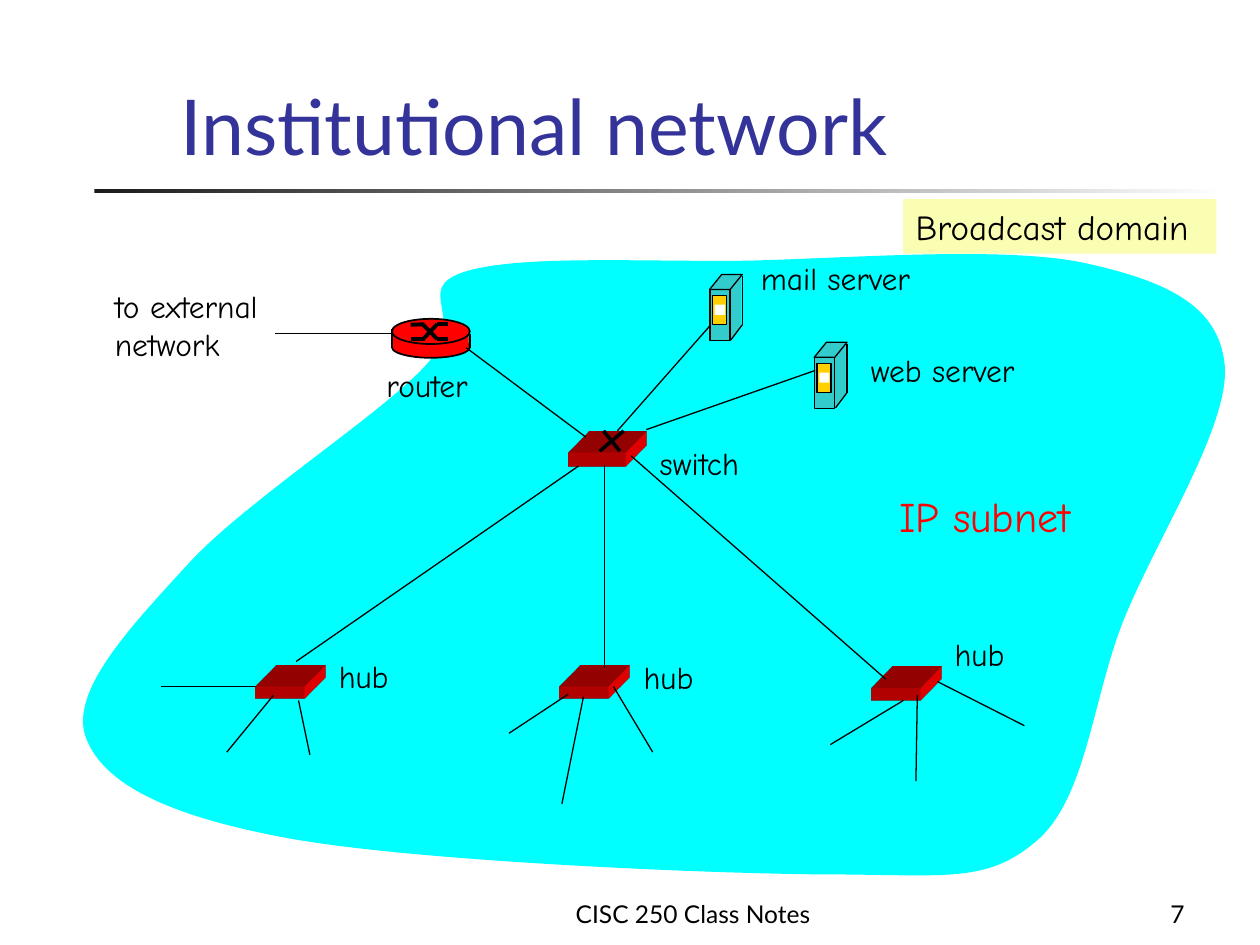
from lxml import etree
from pptx import Presentation
from pptx.dml.color import RGBColor
from pptx.enum.shapes import MSO_CONNECTOR as CONN, MSO_SHAPE as SHAPE
from pptx.enum.text import MSO_ANCHOR as ANCHOR, MSO_AUTO_SIZE as AUTO, PP_ALIGN as ALIGN
from pptx.oxml import parse_xml
from pptx.oxml.ns import nsdecls, qn
from pptx.util import Pt

COLORS = {
    "black": "000000", "white": "FFFFFF", "charcoal": "1C1C1C", "title": "333399",
    "cloud": "00FFFF", "red": "FF0000", "teal": "33CCCC", "gold": "FFCF01", "note": "FAFEB2",
}
HAND, SANS = "Comic Neue", "Lato"

CLOUD_START = (699.8, 208.1)
CLOUD_CURVES = [
    ((696.2, 174.2), (666, 160.6), (620.6, 150.5)),
    ((575.3, 140.4), (486, 147.6), (427, 149)),
    ((367.9, 149.8), (295.9, 145.4), (265, 155.5)),
    ((234.7, 165.6), (269.3, 181.4), (242.6, 209.5)),
    ((216.7, 237.6), (138.2, 288), (106.6, 323.3)),
    ((74.2, 358.6), (39.6, 395.3), (49, 421.2)),
    ((58.3, 447.1), (93.6, 465.8), (163.4, 478.8)),
    ((233.3, 491.8), (396.7, 499), (468, 499.7)),
    ((540, 499.7), (563, 505.4), (591.8, 481)),
    ((621.4, 456.5), (624.2, 397.4), (643, 352.1)),
    ((661.7, 306.7), (703.4, 241.9), (699.8, 208.1)),
]

HUBS = [(319.7, 392.4), (498.2, 393.1), (146.2, 392.4)]
HUB_SIZE, SWITCH_SIZE, DEPTH = (28, 7), (33, 8), 34
SWITCH = (324.7, 258.5)
SWITCH_CROSS = [(344.9, 246.2, 354.2, 257.8), (356.4, 246.2, 342.7, 257.8)]

HUB_LINKS = [
    (146.2, 392.4, 92.2, 392.4), (156.2, 397.4, 129.6, 429.8), (170.6, 400.3, 177.1, 431.3),
    (324.7, 396.7, 290.9, 419), (333.4, 398.2, 321.1, 459.4), (350.6, 392.4, 373, 429.8),
    (516.2, 400.3, 474.5, 425.5), (524.2, 397.4, 523.4, 446.4), (535.7, 389.5, 585.4, 414.7),
]
SWITCH_LINKS = [
    (330.5, 266.4, 169.2, 378), (345.6, 265.7, 345.6, 381.6), (506.2, 388.1, 360.7, 260.6),
]
SERVER_LINKS = [(369.4, 245.5, 465.8, 211.7), (352.8, 246.2, 405.4, 186.5)]
ROUTER_LINKS = [(266.4, 198.7, 334.8, 249.8), (223.9, 190.6, 157, 190.6)]

SERVERS = [(465.3, 195.6), (405.5, 156.8)]
SERVER_PARTS = [
    (SHAPE.PARALLELOGRAM, 0, 29.5, 18.7, 8.6, "teal", 0),
    (SHAPE.RECTANGLE, 9.4, 0, 8.6, 29.5, "teal", 0),
    (SHAPE.RECTANGLE, 0.2, 8.6, 11.5, 29.2, "teal", 0.75),
    (SHAPE.PARALLELOGRAM, 0, 0, 18.7, 8.6, "teal", 0.75),
    (SHAPE.RECTANGLE, 1.6, 12.2, 7.9, 16.6, "gold", 0.75),
    (SHAPE.RECTANGLE, 2.9, 17.3, 5.8, 5.8, "white", 0),
]
SERVER_EDGES = [(18.7, 0.7, 18.7, 28.8), (18.7, 28.8, 12.2, 37.4)]

ROUTER = (223.9, 182.2)
ROUTER_PARTS = [
    (SHAPE.OVAL, 0, 10.1, 44.6, 12.2, "red", 1),
    (SHAPE.RECTANGLE, 0, 8.6, 44, 7.9, "red", 0),
    (SHAPE.OVAL, 0, 0, 44.6, 14.4, "red", 1),
]
ROUTER_EDGES = [(0, 8.6, 0, 16.6), (44.6, 8.6, 44.6, 16.6), (0, 5.8, 0, 13.7)]
ROUTER_CROSS = [
    (10.8, 3.4, 18.7, 3.1), (18, 3.4, 25.9, 11.5), (25.9, 11.5, 32.4, 11.5),
    (10.8, 11.5, 18.7, 11.5), (18, 11.5, 25.9, 3.1), (25.9, 3.1, 32.4, 3.1),
]

LABELS = [
    (["hub"], 186.5, 371.8, 44.6, 28.8, 18, "black"),
    (["hub"], 360.7, 372.7, 44.6, 28.8, 18, "black"),
    (["hub"], 538.4, 359.3, 44.6, 28.8, 18, "black"),
    (["switch"], 369.9, 250.1, 68.4, 28.8, 18, "black"),
    (["to external", "network"], 58.5, 160.6, 108.7, 50.4, 18, "black"),
    (["router"], 213.8, 205.4, 69.1, 28.8, 18, "black"),
    (["IP subnet"], 506.7, 277, 122.4, 36, 24, "red"),
    (["mail server"], 427.7, 144.7, 107.3, 28.8, 18, "black"),
    (["web server"], 490.5, 197.3, 107.3, 28.8, 18, "black"),
]
NOTE = (["Broadcast domain"], 516.1, 113.8, 179, 31.2, 20, "black")
FRAME_TEXTS = [
    ("CISC 250 Class Notes", 246, 498.2, 300.2, 36, 14, "black", ALIGN.CENTER),
    ("7", 617.8, 498.2, 66.2, 36, 14, "black", ALIGN.RIGHT),
    ("Institutional network", 95.8, 17.8, 596.2, 83.5, 44, "title", ALIGN.LEFT),
]


def rgb(name):
    return RGBColor.from_string(COLORS[name])


def paint(sp, fill, line=0):
    sp.shadow.inherit = False
    sp.fill.solid()
    sp.fill.fore_color.rgb = rgb(fill)
    if line:
        sp.line.color.rgb = rgb("black")
        sp.line.width = Pt(line)
    else:
        sp.line.fill.background()


def add_part(shapes, kind, x, y, w, h, fill, line=0):
    sp = shapes.add_shape(kind, Pt(x), Pt(y), Pt(w), Pt(h))
    if kind == SHAPE.PARALLELOGRAM:
        sp.adjustments[0] = 0.81
    paint(sp, fill, line)
    return sp


def add_lines(shapes, ends, width=0.75, origin=(0, 0)):
    ox, oy = origin
    for x1, y1, x2, y2 in ends:
        c = shapes.add_connector(CONN.STRAIGHT, Pt(ox + x1), Pt(oy + y1), Pt(ox + x2), Pt(oy + y2))
        c.line.color.rgb = rgb("black")
        c.line.width = Pt(width)
        etree.SubElement(c._element.spPr, qn("a:effectLst"))


def add_curved(shapes, start, curves, fill):
    points = [(Pt(x), Pt(y)) for curve in curves for x, y in curve]
    builder = shapes.build_freeform(Pt(start[0]), Pt(start[1]))
    builder.add_line_segments(points, close=True)
    sp = builder.convert_to_shape()
    segments = list(sp._element.iter(qn("a:lnTo")))
    for i in range(0, len(segments), 3):
        curve = etree.Element(qn("a:cubicBezTo"))
        segments[i].addprevious(curve)
        for segment in segments[i:i + 3]:
            curve.append(segment[0])
            segment.getparent().remove(segment)
    paint(sp, fill)


def add_slab(shapes, origin, size):
    sp = add_part(shapes, SHAPE.RECTANGLE, *origin, *size, "red")
    sp._element.spPr.append(parse_xml(
        f'<a:scene3d {nsdecls("a")}><a:camera prst="legacyObliqueTopRight"/>'
        '<a:lightRig rig="legacyFlat3" dir="b"/></a:scene3d>'))
    sp._element.spPr.append(parse_xml(
        f'<a:sp3d {nsdecls("a")} extrusionH="{Pt(DEPTH)}" prstMaterial="legacyMatte">'
        f'<a:extrusionClr><a:srgbClr val="{COLORS["red"]}"/></a:extrusionClr></a:sp3d>'))


def add_device(shapes, origin, parts, edges, width):
    group = shapes.add_group_shape().shapes
    ox, oy = origin
    for kind, x, y, *rest in parts:
        add_part(group, kind, ox + x, oy + y, *rest)
    add_lines(group, edges, width, origin)
    return group


def add_text(shapes, lines, x, y, w, h, size, color, font=HAND, align=ALIGN.LEFT):
    sp = shapes.add_textbox(Pt(x), Pt(y), Pt(w), Pt(h))
    tf = sp.text_frame
    tf.text = "\n".join(lines)
    if font == HAND:
        tf.word_wrap, tf.auto_size = False, AUTO.SHAPE_TO_FIT_TEXT
    else:
        tf.word_wrap, tf.vertical_anchor = True, ANCHOR.BOTTOM
    for p in tf.paragraphs:
        p.alignment = align
        p.font.name, p.font.size, p.font.color.rgb = font, Pt(size), rgb(color)
    return sp


prs = Presentation()
prs.slide_width, prs.slide_height = Pt(720), Pt(540)
shapes = prs.slides.add_slide(prs.slide_layouts[6]).shapes

rule = add_part(shapes, SHAPE.RECTANGLE, 54, 108, 648, 2.2, "charcoal")
rule.fill.gradient()
rule.fill.gradient_angle = 0
for stop, position, name in zip(rule.fill.gradient_stops, (0, 1), ("charcoal", "white")):
    stop.position, stop.color.rgb = position, rgb(name)

add_curved(shapes, CLOUD_START, CLOUD_CURVES, "cloud")
for text, x, y, w, h, size, color, align in FRAME_TEXTS:
    add_text(shapes, [text], x, y, w, h, size, color, SANS, align)

for hub in HUBS:
    add_slab(shapes, hub, HUB_SIZE)
add_lines(shapes, HUB_LINKS)
switch = shapes.add_group_shape().shapes
add_slab(switch, SWITCH, SWITCH_SIZE)
add_lines(switch, SWITCH_CROSS, 2)
add_lines(shapes, SWITCH_LINKS)

for origin in SERVERS:
    add_device(shapes, origin, SERVER_PARTS, SERVER_EDGES, 0.75)
add_lines(shapes, SERVER_LINKS)
router = add_device(shapes, ROUTER, ROUTER_PARTS, ROUTER_EDGES, 1)
add_lines(router, ROUTER_CROSS, 2.25, ROUTER)
add_lines(shapes, ROUTER_LINKS)

for label in LABELS:
    add_text(shapes, *label)
paint(add_text(shapes, *NOTE), "note")

prs.save("out.pptx")
